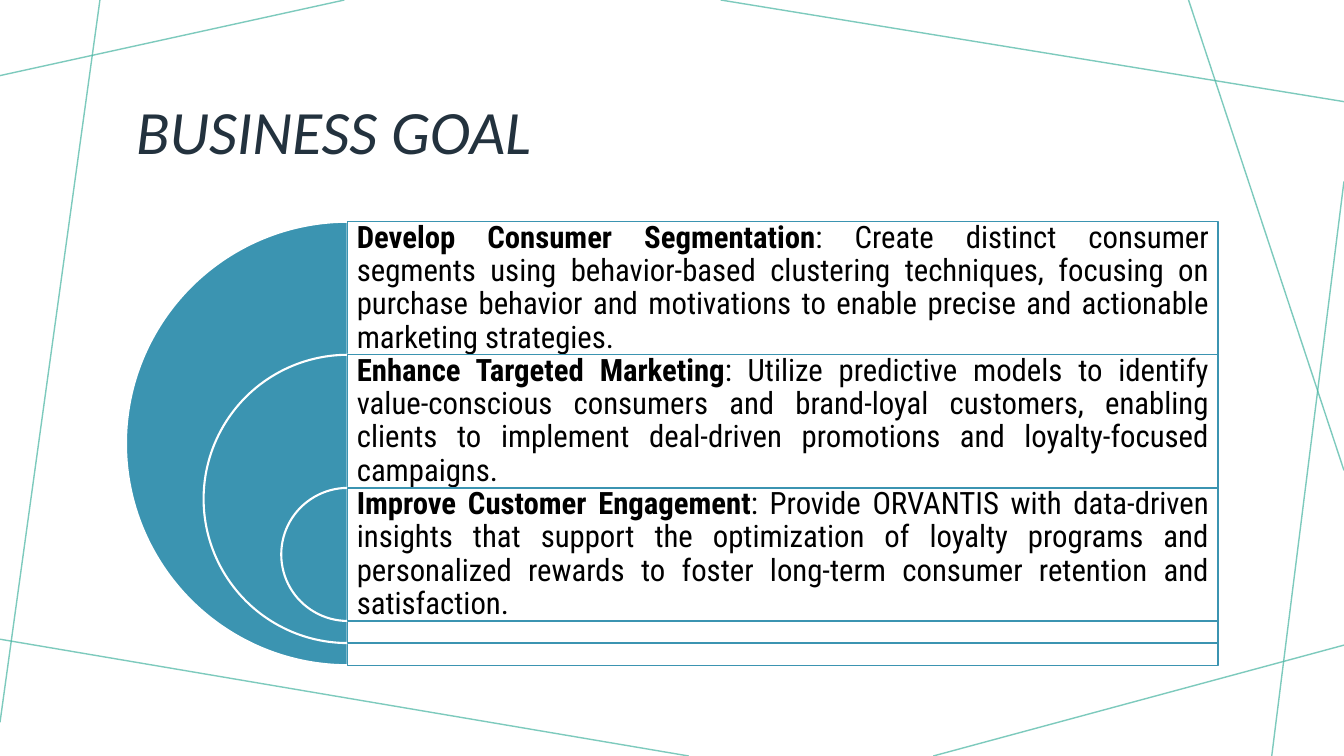
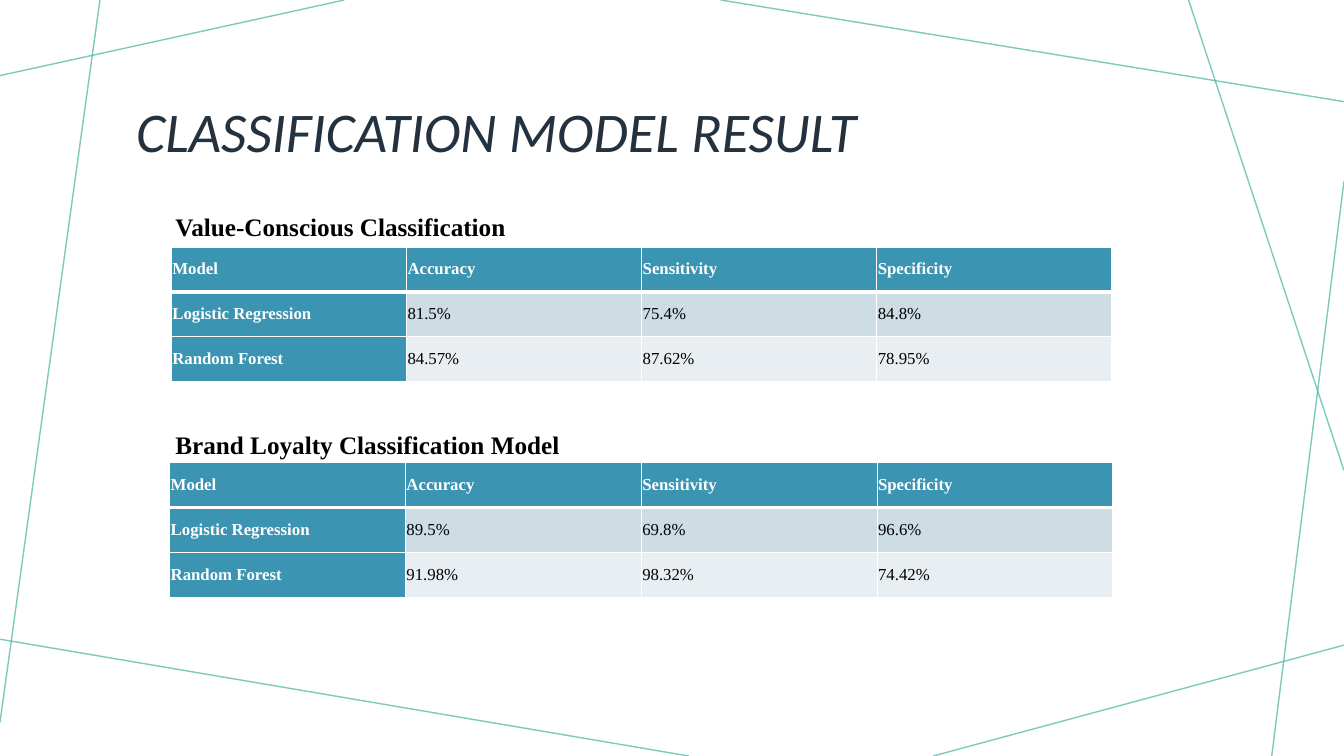
import dataclasses

import lxml.etree
import pptx
import pptx.dml.color
import pptx.enum.shapes
import pptx.enum.text
import pptx.oxml.ns
import pptx.util


@dataclasses.dataclass(frozen=True)
class Theme:
    white: str = "FFFFFF"
    black: str = "000000"
    navy: str = "23323E"
    teal: str = "3B94B1"
    green: str = "46B4A1"
    bands: tuple = ("CEDCE4", "E8EEF2")
    title_font: str = "Calibri"
    goal_font: str = "Roboto Condensed"
    table_font: str = "Times New Roman"
    goal_size: int = 22
    caption_size: int = 18
    cell_size: int = 12


theme = Theme()
rgb = pptx.dml.color.RGBColor.from_string
qn = pptx.oxml.ns.qn
shapes = pptx.enum.shapes.MSO_SHAPE
middle = pptx.enum.text.MSO_ANCHOR.MIDDLE

# The slide is a grid of 160 columns by 90 rows of square cells
columns, rows = 160, 90
unit = pptx.util.Pt(6)


def grid(*cells):
    return [round(cell * unit) for cell in cells]


def style(span, font, size, color, bold=False, italic=False):
    span.font.name = font
    span.font.size = pptx.util.Pt(size)
    span.font.color.rgb = rgb(color)
    span.font.bold = bold
    span.font.italic = italic


deck = pptx.Presentation()
deck.slide_width, deck.slide_height = grid(columns, rows)
layout = deck.slide_layouts[5]

# Pages with their titles
pages = []
left, right = 15, 145
for heading, size in [("BUSINESS GOAL", 44), ("CLASSIFICATION MODEL RESULT", 40)]:
    page = deck.slides.add_slide(layout)
    title = page.shapes.title
    title.left, title.top, title.width, title.height = grid(left, 7, right - left, 18)
    title.text_frame.text = heading
    title.text_frame.vertical_anchor = middle
    title.text_frame.auto_size = pptx.enum.text.MSO_AUTO_SIZE.NONE
    para = title.text_frame.paragraphs[0]
    para.alignment = pptx.enum.text.PP_ALIGN.LEFT
    para.line_spacing = 0.9
    style(para.runs[0], theme.title_font, size, theme.navy, italic=True)
    pages.append(page)
goal_page, result_page = pages

# Crossing lines around the edge, held by the shared layout
edge_lines = [
    (41, 0, 0, 9),
    (11.9, 0, 0, 86),
    (82, rows, 0, 76.1),
    (columns, 76.8, 111.1, rows),
    (columns, 21.6, 151.4, rows),
    (columns, 56, 141.5, 0),
    (columns, 12.1, 85.8, 0),
]
for number, ends in enumerate(edge_lines, start=20):
    line = goal_page.shapes.add_connector(
        pptx.enum.shapes.MSO_CONNECTOR.STRAIGHT, *grid(*ends))
    line.line.color.rgb = rgb(theme.green)
    line.line.width = pptx.util.Pt(1)
    properties = line.element.spPr
    lxml.etree.SubElement(properties.find(".//" + qn("a:srgbClr")), qn("a:alpha"), val="70000")
    lxml.etree.SubElement(properties, qn("a:effectLst"))
    line.element.nvCxnSpPr.cNvPr.set("id", str(number))
    layout.shapes.element.append(line.element)

# Business goals: nested half discs, each opening into a panel
goals = [
    ("Develop Consumer Segmentation",
     ": Create distinct consumer segments using behavior-based clustering techniques, "
     "focusing on purchase behavior and motivations to enable precise and actionable "
     "marketing strategies."),
    ("Enhance Targeted Marketing",
     ": Utilize predictive models to identify value-conscious consumers and brand-loyal "
     "customers, enabling clients to implement deal-driven promotions and "
     "loyalty-focused campaigns."),
    ("Improve Customer Engagement",
     ": Provide ORVANTIS with data-driven insights that support the optimization of "
     "loyalty programs and personalized rewards to foster long-term consumer retention "
     "and satisfaction."),
]
disc_top, disc_size = 26.4, 52.8
center = left + disc_size / 2
step = 0.3 * disc_size
for index, (name, detail) in enumerate(goals):
    top = disc_top + index * step
    size = disc_size * (1 - 0.35 * index)

    disc = goal_page.shapes.add_shape(shapes.PIE, *grid(center - size / 2, top, size, size))
    disc.adjustments[0], disc.adjustments[1] = 54, 162
    disc.fill.solid()
    disc.fill.fore_color.rgb = rgb(theme.teal)
    disc.line.color.rgb = rgb(theme.white)
    disc.line.width = pptx.util.Pt(1.5)
    disc.shadow.inherit = False

    panel = goal_page.shapes.add_shape(
        shapes.RECTANGLE, *grid(center, top, right - center, size))
    panel.fill.solid()
    panel.fill.fore_color.rgb = rgb(theme.white)
    fill_color = panel.element.spPr.find(".//" + qn("a:srgbClr"))
    lxml.etree.SubElement(fill_color, qn("a:alpha"), val="90000")
    panel.line.color.rgb = rgb(theme.teal)
    panel.line.width = pptx.util.Pt(1)
    panel.shadow.inherit = False

    box = goal_page.shapes.add_textbox(*grid(center, top, right - center, step))
    frame = box.text_frame
    frame.word_wrap = True
    frame.vertical_anchor = middle
    frame.margin_left = frame.margin_right = pptx.util.Inches(0.09)
    frame.margin_top = frame.margin_bottom = pptx.util.Inches(0.09)
    para = frame.paragraphs[0]
    para.alignment = pptx.enum.text.PP_ALIGN.JUSTIFY
    para.line_spacing = 0.9
    for words, bold in [(name, True), (detail, False)]:
        span = para.add_run()
        span.text = words
        style(span, theme.goal_font, theme.goal_size, theme.black, bold)

# Model results: a caption above each table
header = ("Model", "Accuracy", "Sensitivity", "Specificity")
results = [
    ("Value-Conscious Classification", 24.6, (20.4, 29.4, 112, 16), [
        ("Logistic Regression", "81.5%", "75.4%", "84.8%"),
        ("Random Forest", "84.57%", "87.62%", "78.95%")]),
    ("Brand Loyalty Classification Model", 50.5, (20.2, 55.1, 112.3, 16), [
        ("Logistic Regression", "89.5%", "69.8%", "96.6%"),
        ("Random Forest", "91.98%", "98.32%", "74.42%")]),
]
for caption, caption_top, place, records in results:
    box = result_page.shapes.add_textbox(*grid(19.7, caption_top, 80, 4.8))
    box.text_frame.word_wrap = True
    box.text_frame.text = caption
    style(box.text_frame.paragraphs[0].runs[0], theme.table_font,
          theme.caption_size, theme.black, bold=True)

    lines = [header, *records]
    table = result_page.shapes.add_table(len(lines), len(header), *grid(*place)).table
    for row, values in enumerate(lines):
        for column, value in enumerate(values):
            cell = table.cell(row, column)
            label = row == 0 or column == 0
            cell.text_frame.text = value
            cell.vertical_anchor = middle
            cell.margin_left = cell.margin_right = pptx.util.Inches(0.01)
            cell.margin_top = cell.margin_bottom = pptx.util.Inches(0.01)
            style(cell.text_frame.paragraphs[0].runs[0], theme.table_font, theme.cell_size,
                  theme.white if label else theme.black, bold=label)
            cell.fill.solid()
            cell.fill.fore_color.rgb = rgb(theme.teal if label else theme.bands[row - 1])

            # White borders, thicker under the header
            for order, side in enumerate(("L", "R", "T", "B")):
                thick = (row, side) in [(0, "B"), (1, "T")]
                border = lxml.etree.Element(
                    qn("a:ln" + side), w=str(pptx.util.Pt(3 if thick else 1)))
                paint = lxml.etree.SubElement(border, qn("a:solidFill"))
                lxml.etree.SubElement(paint, qn("a:srgbClr"), val=theme.white)
                cell._tc.get_or_add_tcPr().insert(order, border)

deck.save("out.pptx")
